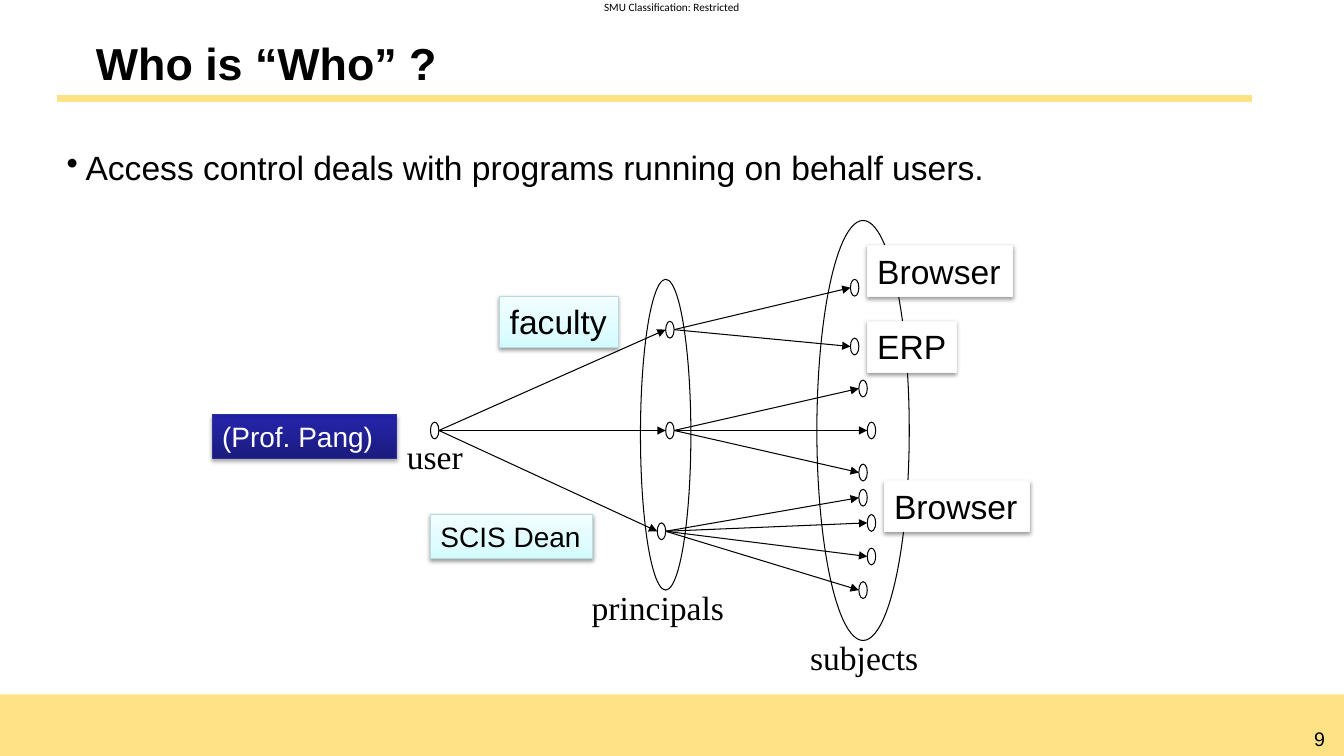
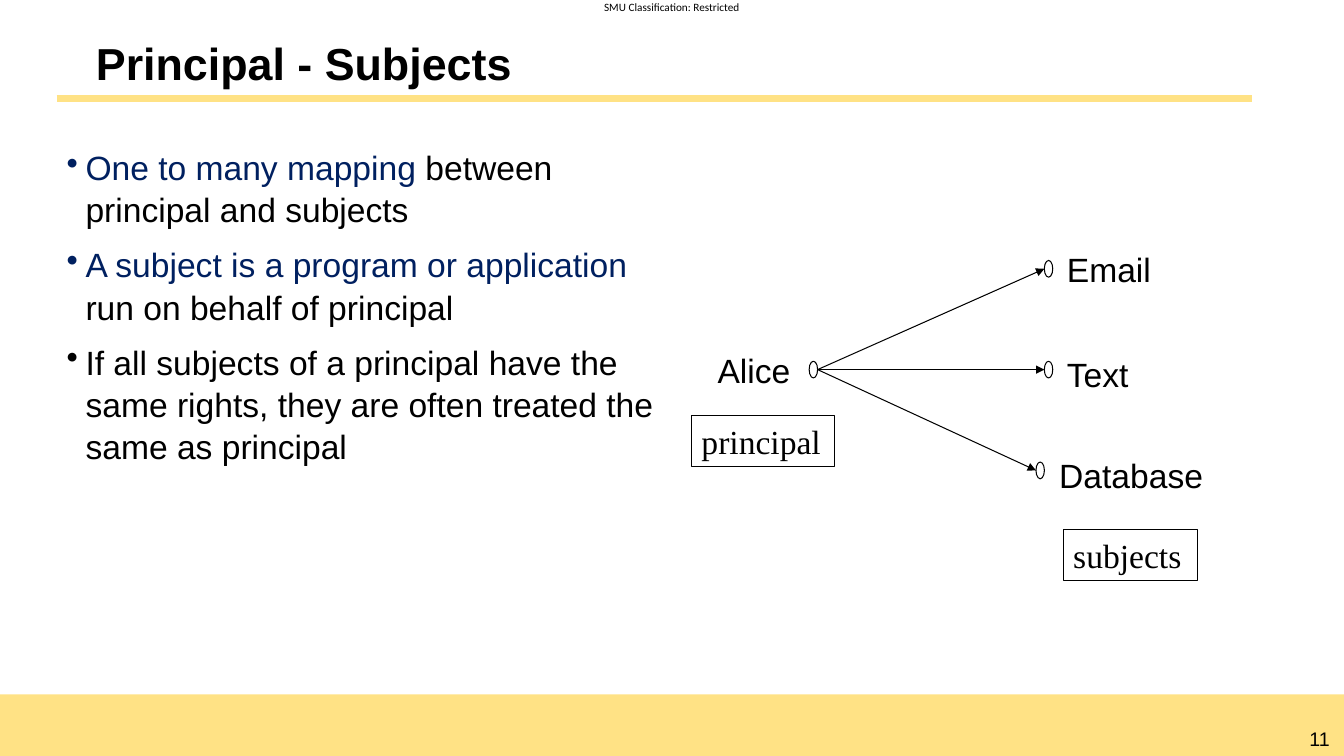
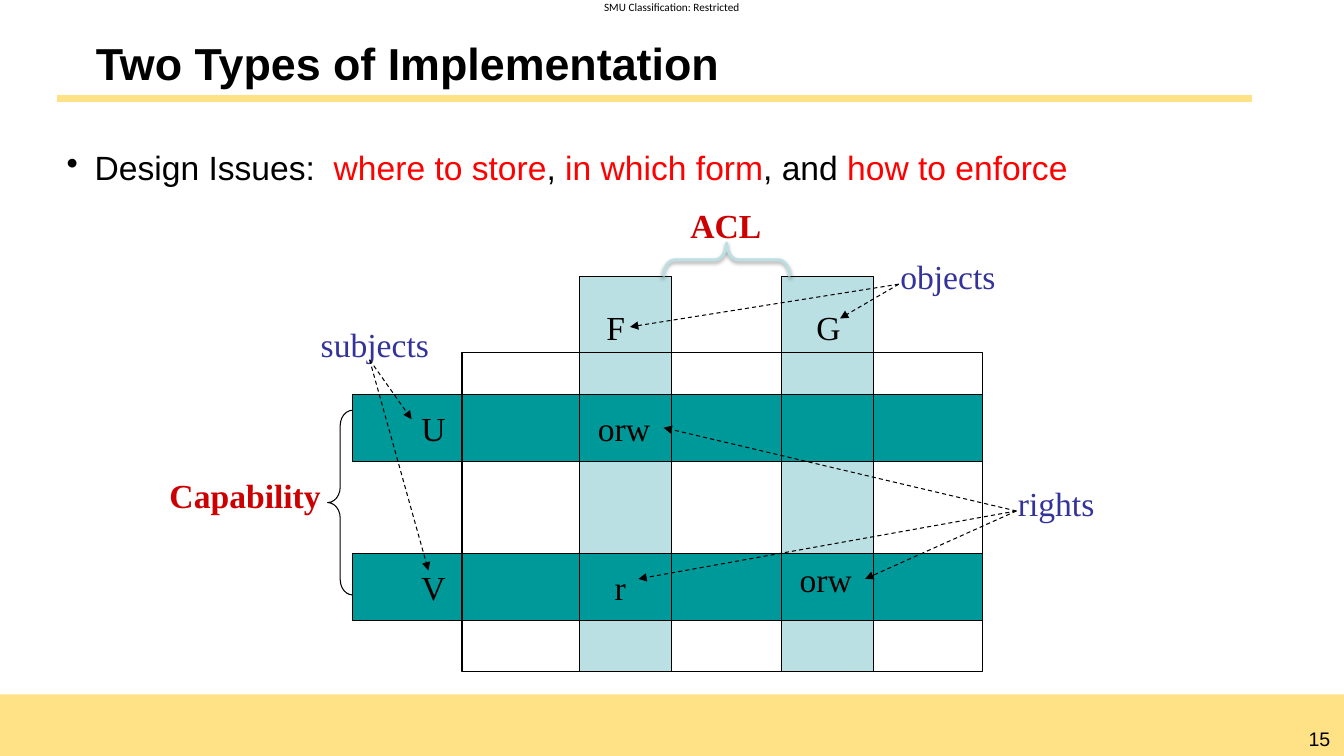
import pptx
import pptx.util
import pptx.dml.color
import pptx.enum.dml
import pptx.enum.shapes
import pptx.enum.text
import pptx.oxml.ns
import pptx.oxml.xmlchemy

Pt = pptx.util.Pt
SHAPES = pptx.enum.shapes.MSO_SHAPE
BLACK, WHITE, RED, NAVY = "000000", "FFFFFF", "FF0000", "002060"
BAND, TEAL, PALE, INDIGO, CRIMSON = "FFE285", "009999", "BBE0E3", "333399", "CC0000"
SANS, SERIF = "Arial", "Times New Roman"
NODE_WIDTH, NODE_HEIGHT = 6, 12
CLASSIFICATION = "SMU Classification: Restricted"

DARK = {"fill": [(0, "1B1B7E"), (80, "2323A3"), (100, "2020A6")],
        "line": "2F2F98", "shadow": (35, 1.8)}
AQUA = {"fill": [(0, "D3FBFF"), (35, "DFFCFF"), (100, "F2FEFF")],
        "line": "B6DCDF", "shadow": (38, 1.6), "wrap": False}
CARD = {"fill": WHITE, "line": "F9F9F9", "shadow": (38, 1.6), "wrap": False}
OUTLINED = {"font": SERIF, "line": BLACK}
SERIF_LABEL = {"font": SERIF}
INDIGO_LABEL = {"font": SERIF, "color": INDIGO}
CRIMSON_LABEL = {"font": SERIF, "color": CRIMSON, "bold": True}

WHO = {
    "title": "Who is “Who” ?", "page": "9",
    "body": (854, 58, 13.5, [[("Access control deals with programs running on behalf users.", BLACK)]]),
    "fans": [
        ((307.5, 307.5), [(475.5, 235.5), (475.5, 307.5), (469.5, 379.5)]),
        ((475.5, 235.5), [(607.5, 205.5), (607.5, 247.5)]),
        ((475.5, 307.5), [(613.5, 277.5), (619.5, 307.5), (613.5, 337.5)]),
        ((469.5, 379.5), [(613.5, 355.5), (619.5, 373.5), (619.5, 397.5), (613.5, 421.5)]),
    ],
    "groups": [(457.5, 199.5, 36, 222), (583.5, 157.5, 66, 300)],
    "labels": [
        ("user", (283.5, 307.5, 66, 36), SERIF_LABEL),
        ("principals", (415.5, 415.5, 120, 36), SERIF_LABEL),
        ("subjects", (571.5, 451.5, 96, 36), SERIF_LABEL),
        ("(Prof. Pang)", (151.5, 296, 132, 31.5), {**DARK, "size": 20, "color": WHITE}),
        ("faculty", (357, 211.5, 84.5, 36.5), AQUA),
        ("SCIS Dean", (307.5, 367.5, 116, 31.5), {**AQUA, "size": 20}),
        ("Browser", (619.5, 175.5, 104, 36.5), CARD),
        ("ERP", (619.5, 229.5, 63.5, 36.5), CARD),
        ("Browser", (631.5, 343.5, 104, 36.5), CARD),
    ],
}
PRINCIPAL = {
    "title": "Principal - Subjects", "page": "11",
    "body": (450, 372, 13.5, [
        [("One to many mapping ", NAVY), ("between principal and subjects", BLACK)],
        [("A subject is a program or application ", NAVY), ("run on behalf of principal", BLACK)],
        [("If all subjects of a principal have the same rights, "
          "they are often treated the same as principal", BLACK)],
    ]),
    "fans": [((578, 264), [(746, 192), (746, 264), (740, 336)])],
    "groups": [],
    "labels": [
        ("subjects", (759.5, 378.5, 96, 36.5), OUTLINED),
        ("principal", (494, 297, 102, 36.5), OUTLINED),
        ("Alice", (505.5, 246.5, 78, 36), {}),
        ("Email", (755, 174.5, 156, 36), {}),
        ("Text", (755, 249.5, 156, 36), {}),
        ("Database", (749.5, 321.5, 153, 36), {}),
    ],
}
TYPES = {
    "title": "Two Types of Implementation", "page": "15",
    "body": (854, 48, 20, [[("Design Issues:  ", BLACK), ("where to store", RED), (", ", BLACK),
                            ("in which form", RED), (", and ", BLACK), ("how to enforce", RED)]]),
    "fans": [], "groups": [],
    "labels": [
        ("U", (294, 287.5, 30, 36), SERIF_LABEL),
        ("V", (294, 401.5, 30, 36), SERIF_LABEL),
        ("F", (426, 215.5, 30, 36), SERIF_LABEL),
        ("G", (576, 215.5, 30, 36), SERIF_LABEL),
        ("orw", (420, 287.5, 60, 36), SERIF_LABEL),
        ("orw", (564, 395.5, 60, 36), SERIF_LABEL),
        ("r", (432, 401.5, 36, 36), SERIF_LABEL),
        ("subjects", (222, 227.5, 96, 36), INDIGO_LABEL),
        ("objects", (636, 179.5, 90, 36), INDIGO_LABEL),
        ("rights", (720, 341.5, 78, 36), INDIGO_LABEL),
        ("Capability", (114, 335.5, 138, 36), CRIMSON_LABEL),
        ("ACL", (486, 142.5, 66, 36), CRIMSON_LABEL),
    ],
}
MATRIX = (330, 251.5, 702, 479.5)
COLUMN_TOP, ROW_LEFT = 197.5, 252
COLUMNS = [(414, 480), (558, 624)]
ROWS = [(281.5, 329.5), (395.5, 443.5)]
POINTERS = [
    ((726, 365), [(474, 305.5), (456, 413.5), (618, 413.5)]),
    ((642, 203), [(600, 227.5), (450, 233.5)]),
    ((264, 257), [(294, 299.5), (306, 407.5)]),
]


def rgb(color):
    return pptx.dml.color.RGBColor.from_string(color)


def child(parent, tag, **attributes):
    element = pptx.oxml.xmlchemy.OxmlElement(tag)
    for name, value in attributes.items():
        element.set(name, str(value))
    parent.append(element)
    return element


def paint(shape, fill=None, line=None, shadow=None, weight=0.75):
    if fill is None:
        shape.fill.background()
    elif isinstance(fill, str):
        shape.fill.solid()
        shape.fill.fore_color.rgb = rgb(fill)
    else:
        shape.fill.gradient()
        shape.fill.gradient_angle = 90
        stops = shape._element.spPr.find(".//" + pptx.oxml.ns.qn("a:gsLst"))
        for stop in list(stops):
            stops.remove(stop)
        for position, color in fill:
            child(child(stops, "a:gs", pos=position * 1000), "a:srgbClr", val=color)
    if line:
        shape.line.color.rgb = rgb(line)
        shape.line.width = Pt(weight)
    else:
        shape.line.fill.background()
    shape.shadow.inherit = False
    if shadow:
        alpha, distance = shadow
        effects = shape._element.spPr.find(pptx.oxml.ns.qn("a:effectLst"))
        outer = child(effects, "a:outerShdw", blurRad=Pt(3.1), dist=Pt(distance),
                      dir=5400000, rotWithShape=0)
        child(child(outer, "a:srgbClr", val=BLACK), "a:alpha", val=alpha * 1000)


def add_shape(page, kind, place, **style):
    shape = page.shapes.add_shape(kind, *map(Pt, place))
    paint(shape, **style)
    return shape


def add_line(page, start, end, color=BLACK, weight=0.75, arrow=False, dashed=False):
    line = page.shapes.add_connector(pptx.enum.shapes.MSO_CONNECTOR.STRAIGHT, *map(Pt, start + end))
    line.line.color.rgb = rgb(color)
    line.line.width = Pt(weight)
    if dashed:
        line.line.dash_style = pptx.enum.dml.MSO_LINE.DASH
    if arrow:
        child(line.line._get_or_add_ln(), "a:tailEnd", type="triangle")
    child(line._element.spPr, "a:effectLst")
    return line


def add_span(para, text, size=24, font=SANS, color=BLACK, bold=False):
    span = para.add_run()
    span.text = text
    span.font.size = Pt(size)
    span.font.name = font
    span.font.bold = bold
    span.font.color.rgb = rgb(color)


def set_margins(frame, across, down):
    frame.margin_left = frame.margin_right = Pt(across)
    frame.margin_top = frame.margin_bottom = Pt(down)


def add_label(page, text, place, wrap=True, fill=None, line=None, shadow=None, **type_style):
    box = page.shapes.add_textbox(*map(Pt, place))
    paint(box, fill, line, shadow)
    box.text_frame.word_wrap = wrap
    add_span(box.text_frame.paragraphs[0], text, **type_style)
    return box


def add_body(page, width, height, indent, items):
    frame = page.shapes.add_textbox(Pt(40.5), Pt(100), Pt(width), Pt(height)).text_frame
    frame.word_wrap = True
    for index, spans in enumerate(items):
        para = frame.add_paragraph() if index else frame.paragraphs[0]
        properties = para._p.get_or_add_pPr()
        properties.set("marL", str(Pt(indent)))
        properties.set("indent", str(-Pt(indent)))
        child(properties, "a:buChar", char="•")
        para.line_spacing = 1.05
        para.space_after = Pt(4.5)
        if index:
            para.space_before = Pt(4.5)
        for text, color in spans:
            add_span(para, text, color=color)


def add_frame(page, layout):
    band = add_shape(page, SHAPES.RECTANGLE, (0, 496, 960, 44), fill=BAND)
    rule = add_line(page, (40.5, 70.5), (894.5, 70.5), BAND, 4.75)
    notice = add_label(page, CLASSIFICATION, (431.5, 0, 98.5, 9.5), wrap=False, size=8, font="Calibri")
    set_margins(notice.text_frame, 0, 0)
    for number, part in enumerate((band, rule, notice), 101):
        part._element.xpath(".//p:cNvPr")[0].set("id", str(number))
        layout.shapes._spTree.append(part._element)


def add_title(page, text):
    title = page.shapes.title
    title.left, title.top, title.width, title.height = map(Pt, (40.5, 24.5, 854, 46))
    frame = title.text_frame
    frame.auto_size = pptx.enum.text.MSO_AUTO_SIZE.NONE
    frame.vertical_anchor = pptx.enum.text.MSO_ANCHOR.MIDDLE
    set_margins(frame, 28, 3.6)
    para = frame.paragraphs[0]
    para.alignment = pptx.enum.text.PP_ALIGN.LEFT
    para.line_spacing = 0.9
    add_span(para, text, size=32, bold=True)


def add_fans(page, fans):
    nodes = set()
    for source, targets in fans:
        nodes.update([source, *targets])
        for target in targets:
            add_line(page, (source[0] + NODE_WIDTH, source[1]), target, arrow=True)
    for left, middle in sorted(nodes):
        add_shape(page, SHAPES.OVAL, (left, middle - NODE_HEIGHT / 2, NODE_WIDTH, NODE_HEIGHT), line=BLACK)


def add_matrix(page):
    left, top, right, bottom = MATRIX
    for start, end in COLUMNS:
        add_shape(page, SHAPES.RECTANGLE, (start, COLUMN_TOP, end - start, bottom - COLUMN_TOP),
                  fill=PALE, line=BLACK)
    for start, end in ROWS:
        add_shape(page, SHAPES.RECTANGLE, (ROW_LEFT, start, right - ROW_LEFT, end - start),
                  fill=TEAL, line=BLACK)
    add_shape(page, SHAPES.RECTANGLE, (left, top, right - left, bottom - top), line=BLACK)
    for y in sum(ROWS, ()):
        add_line(page, (left, y), (right, y))
    for x in sum(COLUMNS, ()):
        add_line(page, (x, top), (x, bottom))


def add_pointers_and_braces(page):
    for start, ends in POINTERS:
        for end in ends:
            add_line(page, start, end, arrow=True, dashed=True)
    capability = add_shape(page, SHAPES.LEFT_BRACE, (234, 293, 18, 132), line=BLACK)
    capability.adjustments[0] = 0.61
    acl = add_shape(page, SHAPES.LEFT_BRACE, (507, 140.5, 24, 90), line=PALE, weight=2, shadow=(38, 1.6))
    acl.adjustments[0] = 0.34
    acl.rotation = 90


def main():
    deck = pptx.Presentation()
    deck.slide_width, deck.slide_height = Pt(960), Pt(540)
    layout = deck.slide_layouts[5]
    for index, content in enumerate((WHO, PRINCIPAL, TYPES)):
        page = deck.slides.add_slide(layout)
        if index == 0:
            add_frame(page, layout)
        add_title(page, content["title"])
        number = add_label(page, content["page"], (925, 515.5, 35, 24.5), size=14)
        number.text_frame.paragraphs[0].alignment = pptx.enum.text.PP_ALIGN.CENTER
        add_body(page, *content["body"])
        add_fans(page, content["fans"])
        for place in content["groups"]:
            add_shape(page, SHAPES.OVAL, place, line=BLACK)
        if content is TYPES:
            add_matrix(page)
        for text, place, style in content["labels"]:
            add_label(page, text, place, **style)
        if content is TYPES:
            add_pointers_and_braces(page)
    deck.save("out.pptx")


if __name__ == "__main__":
    main()
